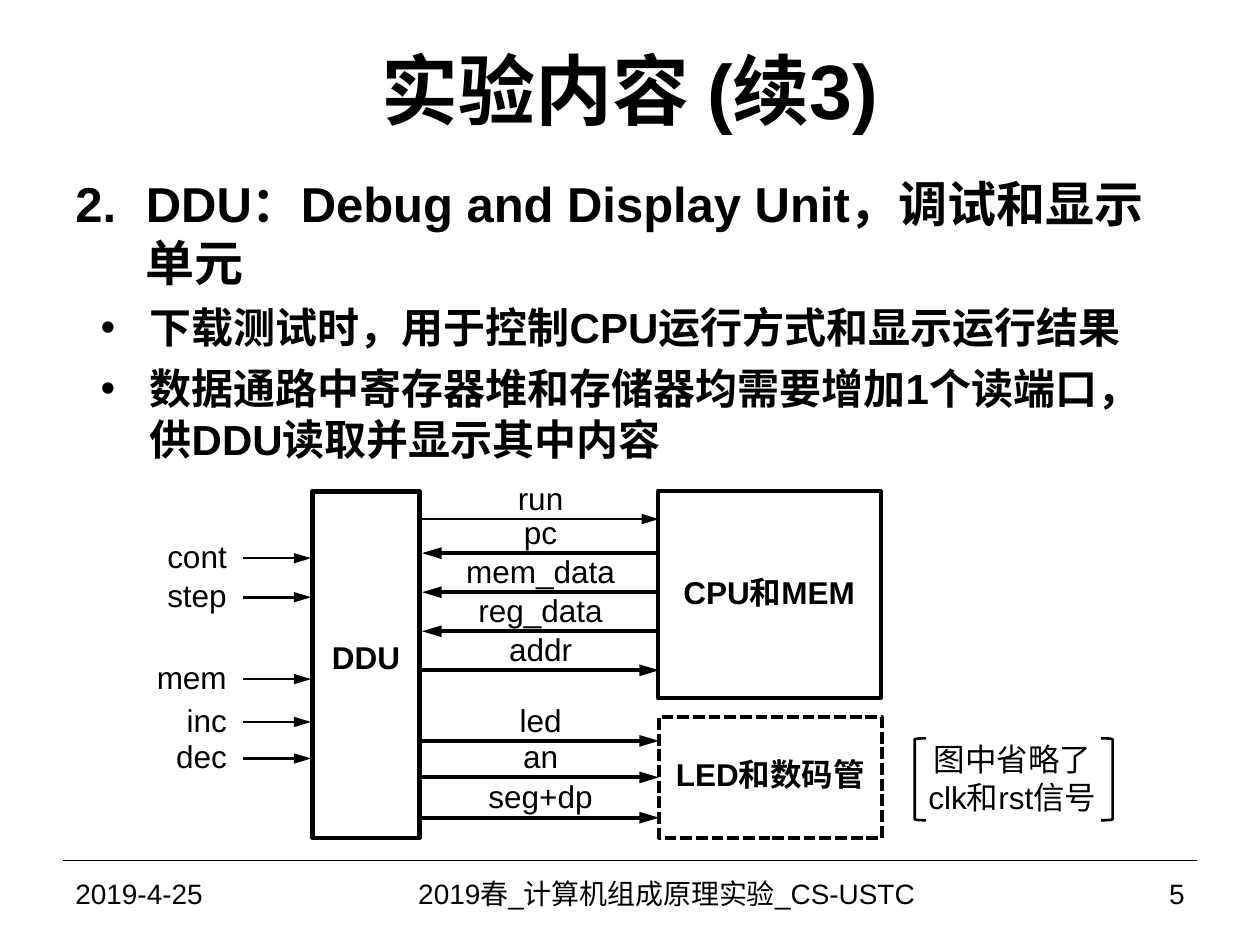
from lxml import etree
from pptx import Presentation
from pptx import util as u
from pptx.dml.color import RGBColor
from pptx.enum import dml, shapes, text
from pptx.oxml import ns

COLORS = {"ink": "000000"}
INK = RGBColor.from_string(COLORS["ink"])
ALIGN = text.PP_ALIGN
ANCHOR = text.MSO_ANCHOR


def inches(*lengths):
    return [u.Inches(length) for length in lengths]


def set_values(target, values):
    for name, value in values.items():
        setattr(target, name, value)


def add_xml(parent, tag, **attributes):
    return etree.SubElement(parent, ns.qn(tag), attributes)


def fill_text(shape, lines, size, bold=False, align=ALIGN.CENTER,
              anchor=ANCHOR.MIDDLE, inset=(0, 0, 0, 0), spacing=None):
    left, top, right, bottom = inches(*inset)
    frame = shape.text_frame
    set_values(frame, {
        "word_wrap": True, "vertical_anchor": anchor,
        "margin_left": left, "margin_top": top,
        "margin_right": right, "margin_bottom": bottom,
    })
    for index, line in enumerate(lines):
        paragraph = frame.add_paragraph() if index else frame.paragraphs[0]
        set_values(paragraph, {"alignment": align, "line_spacing": spacing})
        run = paragraph.add_run()
        run.text = line
        set_values(run.font, {"name": "Arial", "size": u.Pt(size), "bold": bold})
        run.font.color.rgb = INK
    return frame


def add_text(slide, box, lines, size, **options):
    shape = slide.shapes.add_textbox(*inches(*box))
    return fill_text(shape, lines, size, **options)


def add_outline(slide, kind, box, width):
    shape = slide.shapes.add_shape(kind, *inches(*box))
    shape.shadow.inherit = False
    shape.fill.background()
    shape.line.color.rgb = INK
    shape.line.width = u.Pt(width)
    return shape


def add_line(slide, start, end, width, arrow=False):
    line = slide.shapes.add_connector(
        shapes.MSO_CONNECTOR.STRAIGHT, *inches(*start, *end))
    line.line.color.rgb = INK
    line.line.width = u.Pt(width)
    properties = line._element.spPr
    if arrow:
        add_xml(properties.find(ns.qn("a:ln")), "a:tailEnd",
                type="triangle", w="med", len="lg")
    add_xml(properties, "a:effectLst")
    return line


def add_title(slide, box):
    add_text(slide, box, ["实验内容 (续3)"], 44, bold=True,
             inset=(0.1, 0.05, 0.1, 0.05))


def add_body(slide, box):
    lines = [
        "DDU：Debug and Display Unit，调试和显示单元",
        "下载测试时，用于控制CPU运行方式和显示运行结果",
        "数据通路中寄存器堆和存储器均需要增加1个读端口，供DDU读取并显示其中内容",
    ]
    frame = add_text(slide, box, lines, 24, bold=True, align=ALIGN.LEFT,
                     anchor=ANCHOR.TOP, inset=(0.1, 0.05, 0.1, 0.05))
    for index, paragraph in enumerate(frame.paragraphs):
        paragraph.space_before = u.Pt(6)
        margin, indent = (0.59, -0.39) if index else (0.56, -0.56)
        properties = paragraph._p.get_or_add_pPr()
        properties.set("marL", str(u.Inches(margin)))
        properties.set("indent", str(u.Inches(indent)))
        add_xml(properties, "a:buFont", typeface="Arial")
        if index:
            paragraph.level = 1
            add_xml(properties, "a:buChar", char="•")
        else:
            paragraph.runs[0].font.size = u.Pt(28)
            add_xml(properties, "a:buAutoNum", type="arabicPeriod", startAt="2")


def add_block(slide, box, label, width, **options):
    block = add_outline(slide, shapes.MSO_SHAPE.RECTANGLE, box, width)
    fill_text(block, [label], 18, bold=True, spacing=u.Pt(18), **options)
    return block


def add_inputs(slide, box):
    left, top, width, _ = box
    label_width, label_height = 0.6, 0.34
    inputs = [("cont", 0.53), ("step", 0.84), ("mem", 1.49),
              ("inc", 1.83), ("dec", 2.12)]
    for label, offset in inputs:
        y = top + offset
        add_text(slide, (left, y - 0.02 - label_height / 2, label_width, label_height),
                 [label], 18, align=ALIGN.RIGHT)
        add_line(slide, (left + 0.73, y), (left + width, y), 1.5, arrow=True)


def add_signals(slide, box, led):
    left, top, width, _ = box
    right = left + width
    label_height = 0.34
    signals = [
        ("run", 0.22, True, 1.5), ("pc", 0.49, False, 2.25),
        ("mem_data", 0.8, False, 2.25), ("reg_data", 1.11, False, 2.25),
        ("addr", 1.42, True, 2.25), ("led", 1.98, True, 2.25),
        ("an", 2.27, True, 2.25), ("seg+dp", 2.59, True, 2.25),
    ]
    for label, offset, outward, line_width in signals:
        y = top + offset
        start, end = (left, y), (right, y)
        if not outward:
            start, end = end, start
        line = add_line(slide, start, end, line_width, arrow=True)
        if label == "an":
            line.end_connect(led, 1)
        add_text(slide, (left, y - 0.17 - label_height / 2, width, label_height),
                 [label], 18)


def add_note(slide, box):
    left, top, width, height = box
    bracket_width, gap = 0.09, 0.06
    add_text(slide, (left + bracket_width, top - gap, 1.37, height + 0.1),
             ["图中省略了", "clk和rst信号"], 18)
    for x, rotation in ((left, 0), (left + width - bracket_width, 180)):
        bracket = add_outline(slide, shapes.MSO_SHAPE.LEFT_BRACKET,
                              (x, top, bracket_width, height), 1.5)
        bracket.adjustments[0] = 0.08
        bracket.rotation = rotation


def add_diagram(slide, box):
    left, top, _, height = box
    add_block(slide, (left + 1.28, top, 0.85, height), "DDU", 2.5,
              inset=(0, 0, 0, 0.07))
    add_block(slide, (left + 4.02, top, 1.77, 1.64), "CPU和MEM", 2.25)
    led = add_block(slide, (left + 4.03, top + 1.79, 1.77, 0.96),
                    "LED和数码管", 2.25)
    led.line.dash_style = dml.MSO_LINE.SQUARE_DOT
    add_inputs(slide, (left, top, 1.27, height))
    add_signals(slide, (left + 2.15, top, 1.88, height), led)
    add_note(slide, (left + 6.06, top + 1.96, 1.57, 0.65))


def add_footer(slide, box):
    left, top, width, height = box
    add_line(slide, (left, top), (left + width, top), 0.75)
    parts = [
        ("2019-4-25", 2.33, ALIGN.LEFT),
        ("2019春_计算机组成原理实验_CS-USTC", 4.92, ALIGN.CENTER),
        ("5", 1.75, ALIGN.RIGHT),
    ]
    for label, part_width, align in parts:
        add_text(slide, (left, top, part_width, height), [label], 16,
                 align=align, inset=(0.1, 0.05, 0.1, 0.05))
        left += part_width


def main():
    presentation = Presentation()
    presentation.slide_width, presentation.slide_height = inches(10, 7.5)
    slide = presentation.slides.add_slide(presentation.slide_layouts[6])
    add_title(slide, (0.5, 0.08, 9, 1.25))
    add_body(slide, (0.5, 1.33, 8.83, 2.37))
    add_diagram(slide, (1.2, 3.9, 7.63, 2.75))
    add_footer(slide, (0.5, 6.83, 9, 0.52))
    presentation.save("out.pptx")


if __name__ == "__main__":
    main()
